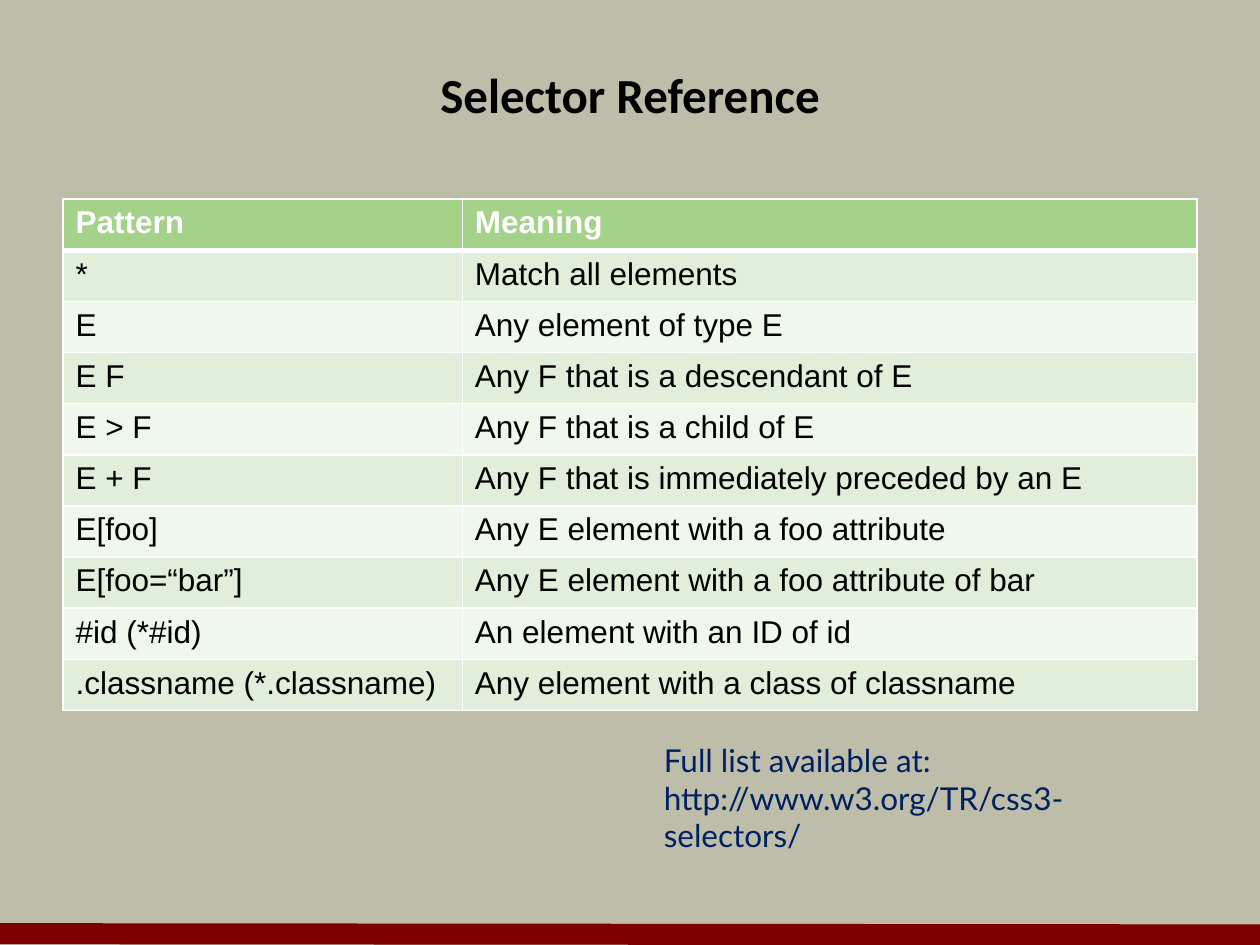
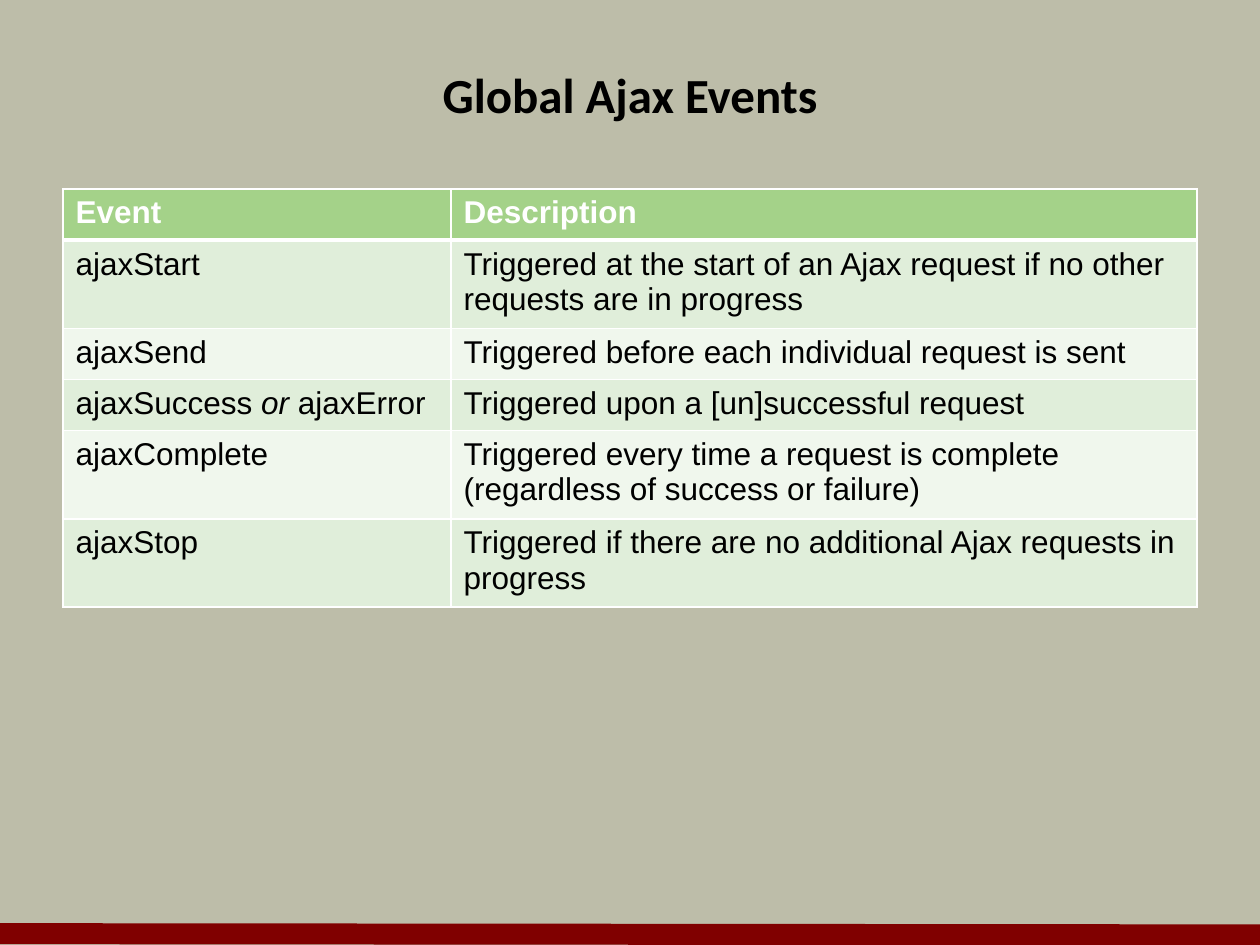
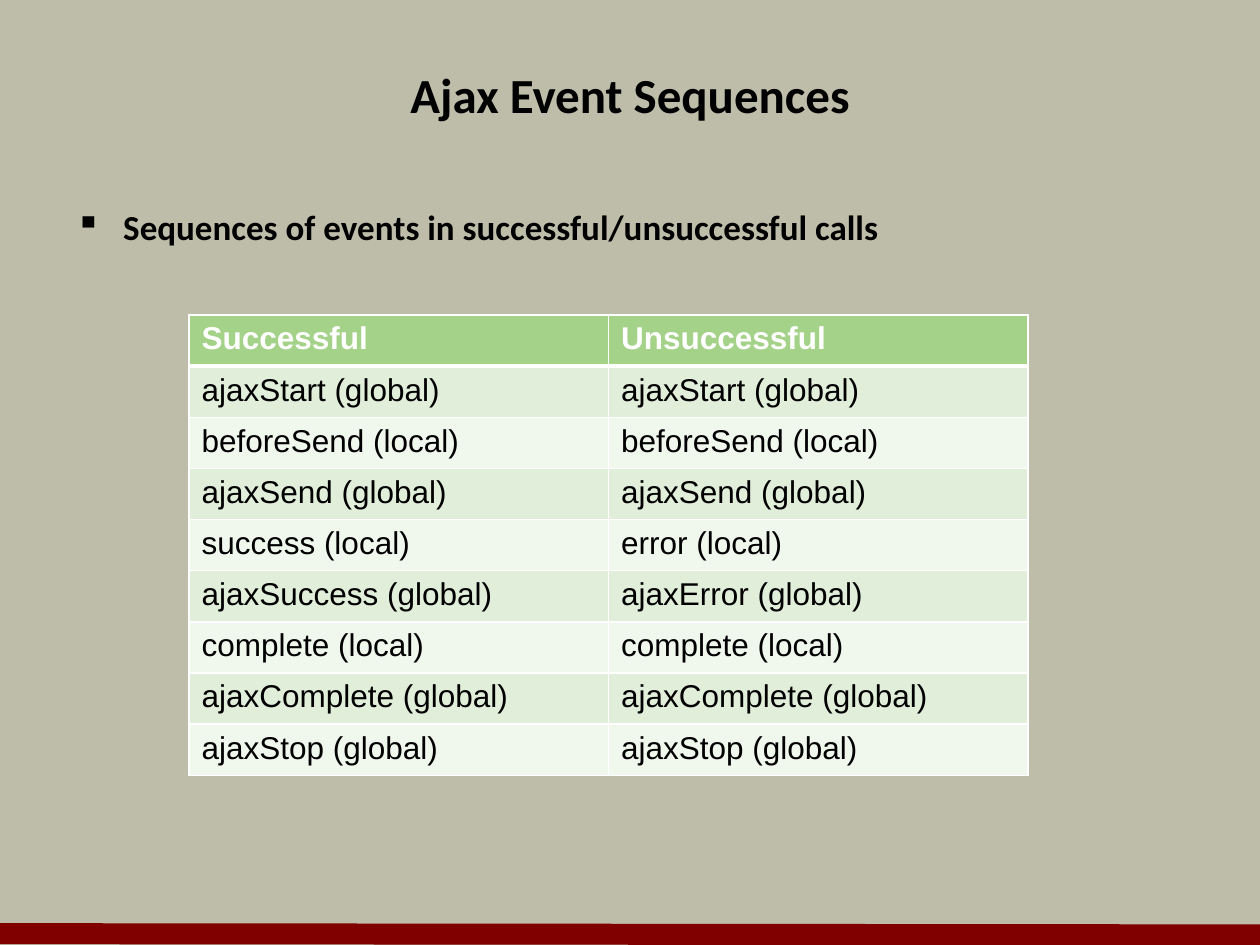
"""Build three slides with reference tables on selectors and Ajax events."""
from dataclasses import dataclass
from typing import Any, NamedTuple

from lxml import etree
from pptx import Presentation
from pptx import util as u
from pptx.dml.color import RGBColor
from pptx.enum import shapes, text
from pptx.oxml import ns

COLORS = {
    "background": "BDBDA9",
    "band": "800000",
    "ink": "000000",
    "note": "002060",
    "white": "FFFFFF",
    "header": "A4D289",
    "odd": "E0EEDA",
    "even": "F0F7ED",
}
STYLES = {
    "title": {"name": "Calibri", "size": u.Pt(28), "bold": True, "color": "ink"},
    "bullet": {"name": "Calibri", "size": u.Pt(20), "bold": True, "color": "ink"},
    "note": {"name": "Lato", "size": u.Pt(18), "bold": False, "color": "note"},
    "header": {"name": "Arial", "size": u.Pt(18), "bold": True, "color": "white"},
    "cell": {"name": "Arial", "size": u.Pt(18), "bold": False, "color": "ink"},
}
ROW_HEIGHT = u.Inches(4.06) // 10
HANGING = u.Inches(0.38)


class Run(NamedTuple):
    text: str
    italic: bool = False


class Box(NamedTuple):
    left: float
    top: float
    width: float
    height: float


TITLE_BOX = Box(0.5, 0.33, 9, 0.83)
BULLET_BOX = Box(0.5, 1.58, 9, 4.92)
NOTE_BOX = Box(5.17, 5.83, 4.35, 0.71)


@dataclass
class TableSpec:
    left: float
    top: float
    columns: tuple[float, ...]
    rows: list[tuple[Any, ...]]


@dataclass
class SlideSpec:
    title: str
    table: TableSpec
    bullet: str = ""
    note: tuple[str, ...] = ()


SLIDES = [
    SlideSpec(
        "Selector Reference",
        TableSpec(0.5, 1.58, (3.17, 5.83), [
            ("Pattern", "Meaning"),
            ("*", "Match all elements"),
            ("E", "Any element of type E"),
            ("E F", "Any F that is a descendant of E"),
            ("E > F", "Any F that is a child of E"),
            ("E + F", "Any F that is immediately preceded by an E"),
            ("E[foo]", "Any E element with a foo attribute"),
            ("E[foo=“bar”]", "Any E element with a foo attribute of bar"),
            ("#id (*#id)", "An element with an ID of id"),
            (".classname (*.classname)", "Any element with a class of classname"),
        ]),
        note=("Full list available at:", "http://www.w3.org/TR/css3-selectors/"),
    ),
    SlideSpec(
        "Global Ajax Events",
        TableSpec(0.5, 1.5, (3.08, 5.92), [
            ("Event", "Description"),
            ("ajaxStart", "Triggered at the start of an Ajax request if no other "
                          "requests are in progress"),
            ("ajaxSend", "Triggered before each individual request is sent"),
            ((Run("ajaxSuccess "), Run("or ", True), Run("ajaxError")),
             "Triggered upon a [un]successful request"),
            ("ajaxComplete", "Triggered every time a request is complete "
                             "(regardless of success or failure)"),
            ("ajaxStop", "Triggered if there are no additional Ajax requests in progress"),
        ]),
    ),
    SlideSpec(
        "Ajax Event Sequences",
        TableSpec(1.5, 2.5, (3.33, 3.33), [
            ("Successful", "Unsuccessful"),
            ("ajaxStart (global)", "ajaxStart (global)"),
            ("beforeSend (local)", "beforeSend (local)"),
            ("ajaxSend (global)", "ajaxSend (global)"),
            ("success (local)", "error (local)"),
            ("ajaxSuccess (global)", "ajaxError (global)"),
            ("complete (local)", "complete (local)"),
            ("ajaxComplete (global)", "ajaxComplete (global)"),
            ("ajaxStop (global)", "ajaxStop (global)"),
        ]),
        bullet="Sequences of events in successful/unsuccessful calls",
    ),
]


def rgb(name: str) -> RGBColor:
    return RGBColor.from_string(COLORS[name])


def write(p: Any, content: Any, style: str) -> None:
    runs = (Run(content),) if isinstance(content, str) else content
    for run in runs:
        r = p.add_run()
        r.text = run.text
        for key, value in STYLES[style].items():
            if key == "color":
                r.font.color.rgb = rgb(value)
            else:
                setattr(r.font, key, value)
        if run.italic:
            r.font.italic = True


def add_text(s: Any, box: Box, lines: tuple[str, ...], style: str) -> Any:
    tf = s.shapes.add_textbox(*map(u.Inches, box)).text_frame
    tf.word_wrap = True
    for i, line in enumerate(lines):
        write(tf.add_paragraph() if i else tf.paragraphs[0], line, style)
    return tf


def add_title(s: Any, title: str) -> None:
    tf = add_text(s, TITLE_BOX, (title,), "title")
    tf.vertical_anchor = text.MSO_ANCHOR.MIDDLE
    tf.paragraphs[0].alignment = text.PP_ALIGN.CENTER


def add_bullet(s: Any, line: str) -> None:
    p = add_text(s, BULLET_BOX, (line,), "bullet").paragraphs[0]
    ppr = p._p.get_or_add_pPr()
    ppr.set("marL", str(HANGING))
    ppr.set("indent", str(-HANGING))
    etree.SubElement(ppr, ns.qn("a:buChar"), char="▪")


def add_band(s: Any) -> None:
    line = s.shapes.add_connector(
        shapes.MSO_CONNECTOR.STRAIGHT, *map(u.Inches, (0, 7.41, 10, 7.42)))
    line.line.color.rgb = rgb("band")
    line.line.width = u.Pt(12)
    etree.SubElement(line._element.spPr, ns.qn("a:effectLst"))


def set_borders(cell: Any, row: int) -> None:
    tcpr = cell._tc.get_or_add_tcPr()
    widths = {"L": 1, "R": 1, "T": 3 if row == 1 else 1, "B": 3 if row == 0 else 1}
    for side, points in widths.items():
        ln = etree.SubElement(tcpr, ns.qn(f"a:ln{side}"), w=str(u.Pt(points)))
        fill = etree.SubElement(ln, ns.qn("a:solidFill"))
        etree.SubElement(fill, ns.qn("a:srgbClr"), val=COLORS["white"])


def add_table(s: Any, spec: TableSpec) -> None:
    table = s.shapes.add_table(
        len(spec.rows), len(spec.columns), u.Inches(spec.left), u.Inches(spec.top),
        u.Inches(sum(spec.columns)), ROW_HEIGHT * len(spec.rows)).table
    table.horz_banding = False
    for column, width in zip(table.columns, spec.columns):
        column.width = u.Inches(width)
    for i, row in enumerate(spec.rows):
        fill = "header" if i == 0 else "odd" if i % 2 else "even"
        for j, content in enumerate(row):
            cell = table.cell(i, j)
            set_borders(cell, i)
            cell.fill.solid()
            cell.fill.fore_color.rgb = rgb(fill)
            write(cell.text_frame.paragraphs[0], content, "cell" if i else "header")


def add_slide(prs: Any, spec: SlideSpec) -> None:
    s = prs.slides.add_slide(prs.slide_layouts[6])
    s.background.fill.solid()
    s.background.fill.fore_color.rgb = rgb("background")
    add_band(s)
    add_title(s, spec.title)
    if spec.bullet:
        add_bullet(s, spec.bullet)
    add_table(s, spec.table)
    if spec.note:
        add_text(s, NOTE_BOX, spec.note, "note")


def main() -> None:
    prs = Presentation()
    prs.slide_width, prs.slide_height = u.Inches(10), u.Inches(7.5)
    for spec in SLIDES:
        add_slide(prs, spec)
    prs.save("out.pptx")


if __name__ == "__main__":
    main()
